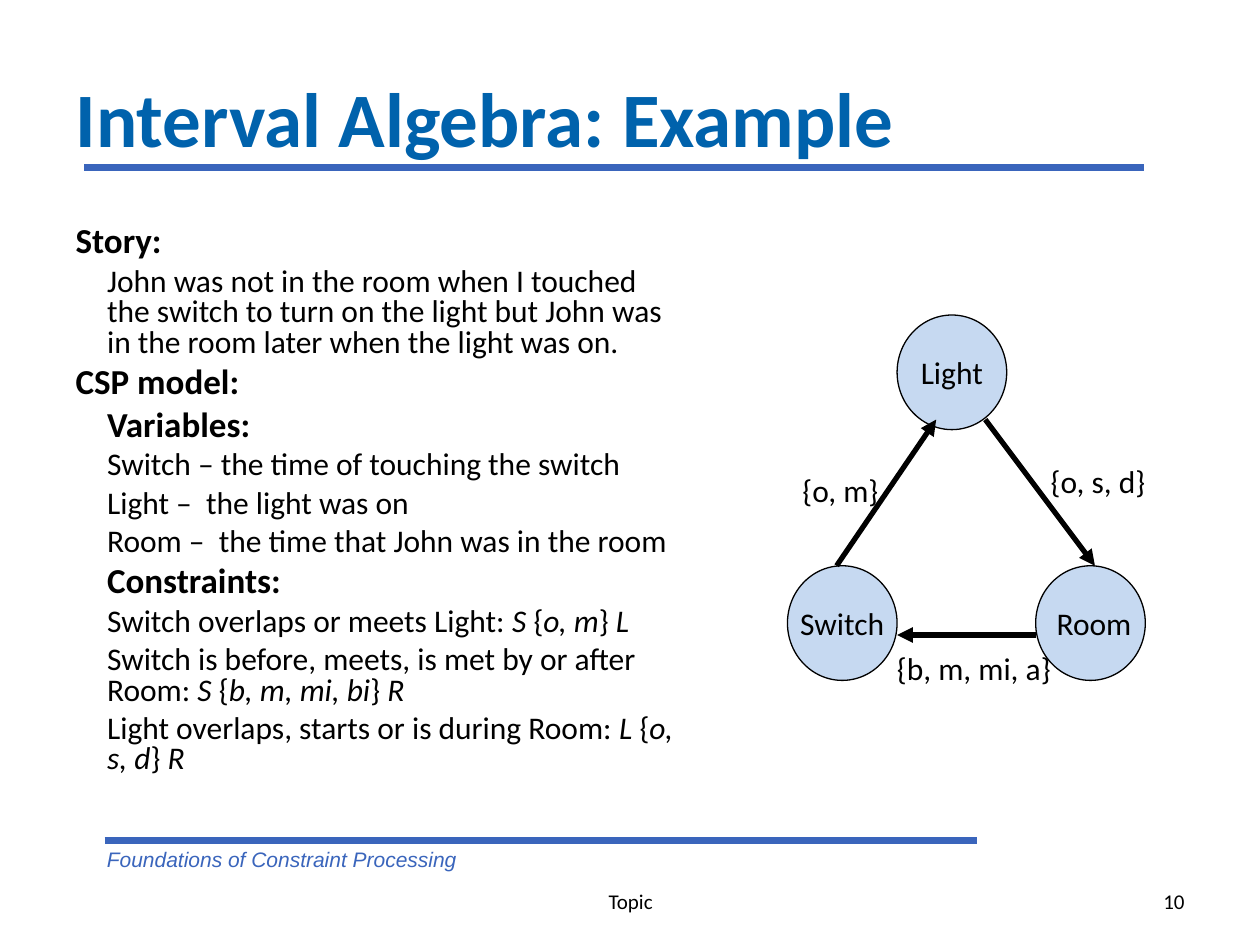
import pptx
import pptx.util
import pptx.dml.color
import pptx.enum.shapes
import pptx.enum.text
import pptx.oxml
import pptx.oxml.ns

COLS, ROWS = 100, 75
HUES = {"ink": "000000", "title": "0062AC", "rule": "3A65BC", "node": "C6D9F1"}
ALIGN = pptx.enum.text.PP_ALIGN
ANCHOR = pptx.enum.text.MSO_ANCHOR
FIT = pptx.enum.text.MSO_AUTO_SIZE

# Depth, text (italics between asterisks), heading or not
STORY = [
    (0, "Story:", True),
    (1, "John was not in the room when I touched the switch to turn on the "
        "light but John was in the room later when the light was on.", False),
    (0, "CSP model:", True),
    (1, "Variables:", True),
    (1, "Switch – the time of touching the switch", False),
    (1, "Light –  the light was on", False),
    (1, "Room –  the time that John was in the room", False),
    (1, "Constraints:", True),
    (1, "Switch overlaps or meets Light: *S *{*o, m*}* L*", False),
    (1, "Switch is before, meets, is met by or after Room: "
        "*S *{*b, m, mi, bi*}* R*", False),
    (1, "Light overlaps, starts or is during Room: *L *{*o, s, d*}* R*", False),
]

# Places below are in grid units from the corner of the graph's box
NODE = (8.7, 9.1)
NODES = [("Light", 8.7, 0), (" Room", 19.7, 19.9), ("Switch", 0, 19.9)]
EDGES = [
    ("{o, m}", (3.9, 19.9, 11.8, 8.3), (0.2, 11.9, 8.1, 4)),
    ("{o, s, d}", (15.7, 8.3, 24.4, 19.9), (19.9, 11.2, 9.5, 4)),
    ("{b, m, mi, a}", (19.7, 25.4, 8.7, 25.4), (7.7, 26, 14.2, 4)),
]

deck = pptx.Presentation()
deck.slide_width = pptx.util.Inches(10)
deck.slide_height = pptx.util.Inches(7.5)


def scale(box):
    """Turn grid units, x and y in turn, into slide lengths."""
    unit = (deck.slide_width / COLS, deck.slide_height / ROWS)
    return [round(v * unit[i % 2]) for i, v in enumerate(box)]


def apply(thing, **values):
    for name, value in values.items():
        setattr(thing, name, value)


def tint(hue):
    return pptx.dml.color.RGBColor.from_string(HUES[hue])


def style(font, size, hue="ink", name="Calibri", **more):
    apply(font, size=pptx.util.Pt(size), name=name, **more)
    font.color.rgb = tint(hue)


def move(shape, box):
    apply(shape, **dict(zip(("left", "top", "width", "height"), scale(box))))


def write(shape, text, size, align=ALIGN.LEFT, anchor=ANCHOR.TOP,
          wrap=True, **look):
    frame = shape.text_frame
    apply(frame, word_wrap=wrap, vertical_anchor=anchor, auto_size=FIT.NONE)
    para = frame.paragraphs[0]
    apply(para, text=text, alignment=align)
    style(para.runs[0].font, size, **look)


def label(slide, box, text, size, **look):
    write(slide.shapes.add_textbox(*scale(box)), text, size, **look)


def rule(slide, ends, hue, width, arrow=False):
    kind = pptx.enum.shapes.MSO_CONNECTOR.STRAIGHT
    line = slide.shapes.add_connector(kind, *scale(ends))
    line.line.color.rgb = tint(hue)
    line.line.width = pptx.util.Pt(width)
    props = line.element.spPr
    if arrow:
        tail = pptx.oxml.parse_xml(
            f'<a:tailEnd {pptx.oxml.ns.nsdecls("a")} type="triangle"/>')
        props.find(pptx.oxml.ns.qn("a:ln")).append(tail)
    props.append(pptx.oxml.parse_xml(
        f'<a:effectLst {pptx.oxml.ns.nsdecls("a")}/>'))


def head(slide, box):
    title = slide.shapes.title
    move(title, box)
    write(title, "Interval Algebra: Example", 44, anchor=ANCHOR.MIDDLE,
          hue="title", bold=True)
    x, y, w, h = box
    rule(slide, (x + 1.7, y + 10.3, x + w - 4.2, y + 10.3), "rule", 4)


def body(slide, box):
    shape = slide.placeholders[1]
    move(shape, box)
    frame = shape.text_frame
    apply(frame, word_wrap=True, auto_size=FIT.NONE)
    for i, (depth, text, bold) in enumerate(STORY):
        para = frame.add_paragraph() if i else frame.paragraphs[0]
        size = 20 if bold else 18
        props = para._p.get_or_add_pPr()
        props.set("marL", str(pptx.util.Inches(0.25 * depth)))
        props.set("indent", "0")
        props.append(pptx.oxml.parse_xml(
            f'<a:buNone {pptx.oxml.ns.nsdecls("a")}/>'))
        apply(para, line_spacing=0.8,
              space_before=pptx.util.Pt(size / 4 if i else 0))
        for j, part in enumerate(text.split("*")):
            if part:
                run = para.add_run()
                run.text = part
                style(run.font, size, bold=bold, italic=j % 2 == 1)


def graph(slide, box):
    x, y = box[:2]
    for name, dx, dy in NODES:
        node = slide.shapes.add_shape(
            pptx.enum.shapes.MSO_SHAPE.OVAL, *scale((x + dx, y + dy, *NODE)))
        node.shadow.inherit = False
        node.fill.solid()
        node.fill.fore_color.rgb = tint("node")
        node.line.color.rgb = tint("ink")
        node.line.width = pptx.util.Pt(0.75)
        write(node, name, 18, align=ALIGN.CENTER, anchor=ANCHOR.MIDDLE,
              wrap=False)
    for name, (x1, y1, x2, y2), (dx, dy, w, h) in EDGES:
        rule(slide, (x + x1, y + y1, x + x2, y + y2), "ink", 3, arrow=True)
        label(slide, (x + dx, y + dy, w, h), name, 18, wrap=False)


def foot(slide, box):
    x, y, w, h = box
    rule(slide, (x + 0.8, y, x + 70, y), "rule", 4)
    label(slide, (x, y, 52.5, 3), "Foundations of Constraint Processing", 12,
          hue="rule", name="Arial", italic=True)
    for text, left, width, align in (("Topic", 26.7, 31.7, ALIGN.CENTER),
                                     ("10", w - 23.3, 23.3, ALIGN.RIGHT)):
        label(slide, (x + left, y + h - 4, width, 4), text, 12,
              align=align, anchor=ANCHOR.MIDDLE)


def main():
    slide = deck.slides.add_slide(deck.slide_layouts[1])
    head(slide, (5, 3, 90, 12.5))
    body(slide, (5, 17.5, 50, 49.5))
    graph(slide, (62.5, 25, 28.4, 29))
    foot(slide, (7.5, 66.7, 87.5, 6.8))
    deck.save("out.pptx")


if __name__ == "__main__":
    main()
